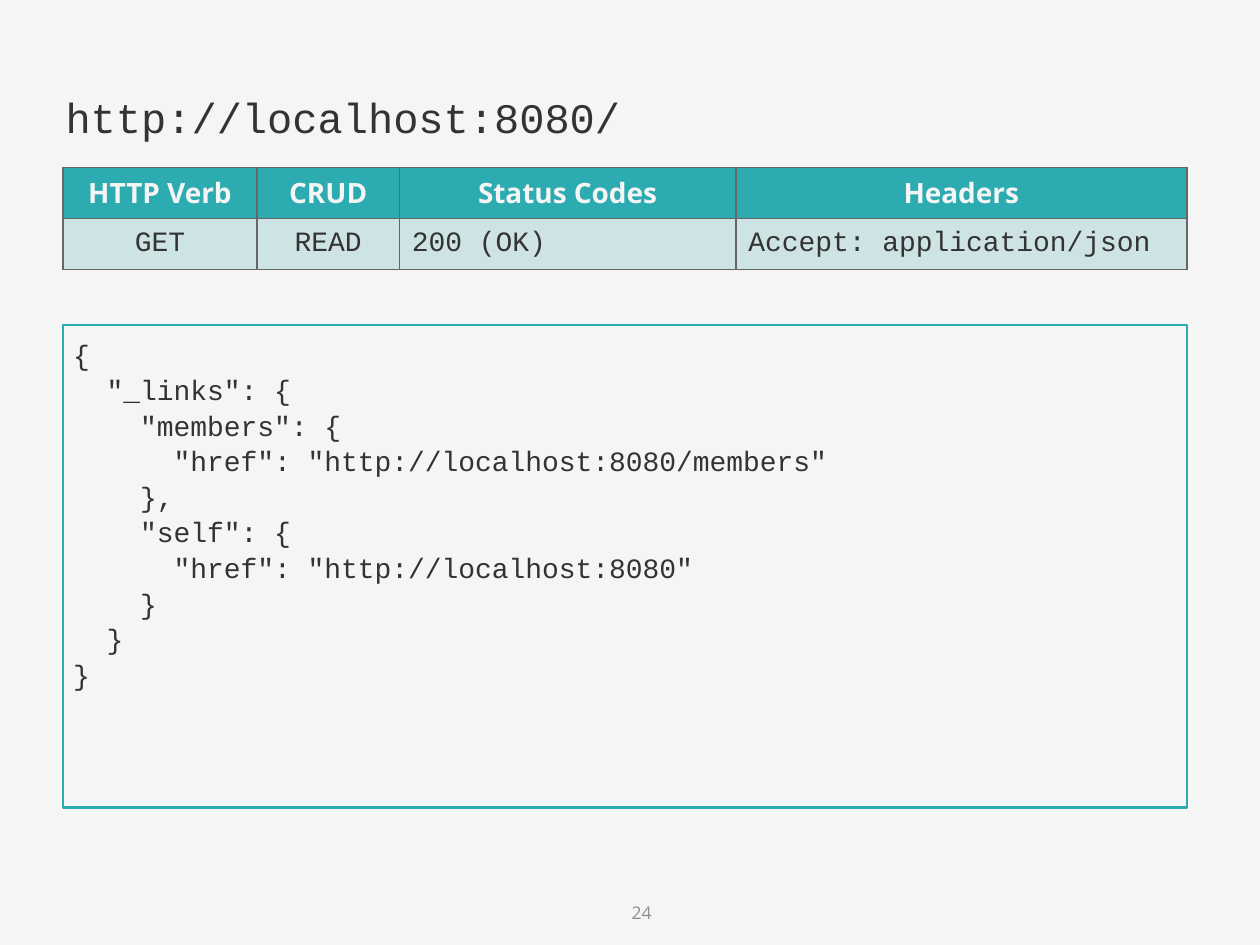
from lxml import etree
from pptx import Presentation
from pptx.dml.color import RGBColor
from pptx.enum.shapes import MSO_SHAPE
from pptx.enum.text import MSO_ANCHOR, PP_ALIGN
from pptx.oxml.ns import qn
from pptx.util import Inches, Pt

LEFT, CENTER, RIGHT = PP_ALIGN.LEFT, PP_ALIGN.CENTER, PP_ALIGN.RIGHT
TOP, MIDDLE = MSO_ANCHOR.TOP, MSO_ANCHOR.MIDDLE

PAPER = RGBColor(0xF5, 0xF5, 0xF5)
TEAL = RGBColor(0x2C, 0xAC, 0xB1)
PALE_TEAL = RGBColor(0xCD, 0xE3, 0xE4)
INK = RGBColor(0x33, 0x33, 0x33)
GRAY = RGBColor(0x90, 0x90, 0x90)
BORDER = RGBColor(0x66, 0x66, 0x66)
CODE_FONT, TEXT_FONT = "Courier New", "Open Sans"

# Content
TITLE = "http://localhost:8080/"
PAGE_NUMBER = "24"
# Heading, value, value alignment, column width
COLUMNS = [
    ("HTTP Verb", "GET", CENTER, 1.54),
    ("CRUD", "READ", CENTER, 1.13),
    ("Status Codes", "200 (OK)", LEFT, 2.67),
    ("Headers", "Accept: application/json", LEFT, 3.58),
]
RESPONSE = """{
  "_links": {
    "members": {
      "href": "http://localhost:8080/members"
    },
    "self": {
      "href": "http://localhost:8080"
    }
  }
}"""

# Layout
MARGIN, CONTENT_WIDTH = 0.5, 8.92
TABLE_TOP, ROW_HEIGHT = 1.33, 0.405


def place(shape, left, top, width, height):
    shape.left, shape.top = Inches(left), Inches(top)
    shape.width, shape.height = Inches(width), Inches(height)


def write(text_frame, text, font_name, size, color, alignment=LEFT, bold=False):
    text_frame.text = text
    for paragraph in text_frame.paragraphs:
        paragraph.alignment = alignment
        font = paragraph.font
        font.name, font.size, font.bold = font_name, Pt(size), bold
        font.color.rgb = color


def add_borders(cell):
    properties = cell._tc.get_or_add_tcPr()
    for index, side in enumerate(("a:lnL", "a:lnR", "a:lnT", "a:lnB")):
        line = etree.Element(qn(side), w=str(Pt(1)))
        fill = etree.SubElement(line, qn("a:solidFill"))
        etree.SubElement(fill, qn("a:srgbClr"), val=str(BORDER))
        properties.insert(index, line)


def fill_cell(cell, text, fill, font_name, color, alignment, bold):
    cell.fill.solid()
    cell.fill.fore_color.rgb = fill
    cell.vertical_anchor = MIDDLE
    write(cell.text_frame, text, font_name, 16, color, alignment, bold)
    add_borders(cell)


def main():
    presentation = Presentation()
    presentation.slide_width, presentation.slide_height = Inches(10), Inches(7.5)
    slide = presentation.slides.add_slide(presentation.slide_layouts[5])
    slide.background.fill.solid()
    slide.background.fill.fore_color.rgb = PAPER

    # Page number
    number = slide.shapes.add_textbox(Inches(4.73), Inches(7.08), Inches(0.54), Inches(0.32))
    number.text_frame.word_wrap = True
    number.text_frame.vertical_anchor = MIDDLE
    write(number.text_frame, PAGE_NUMBER, TEXT_FONT, 10, GRAY, RIGHT)

    # Title
    title = slide.shapes.title
    place(title, 0.42, 0.61, 9.17, 0.42)
    title.text_frame.vertical_anchor = TOP
    title.text_frame.margin_top = Inches(0.12)
    title.text_frame.margin_bottom = 0
    write(title.text_frame, TITLE, CODE_FONT, 24, INK)

    # Response body
    body = slide.shapes.add_shape(
        MSO_SHAPE.RECTANGLE, Inches(MARGIN), Inches(2.58), Inches(CONTENT_WIDTH), Inches(3.83))
    body.shadow.inherit = False
    body.fill.solid()
    body.fill.fore_color.rgb = PAPER
    body.line.color.rgb = TEAL
    body.line.width = Pt(1.5)
    frame = body.text_frame
    frame.word_wrap = True
    frame.vertical_anchor = TOP
    frame.margin_left = frame.margin_top = Inches(0.08)
    frame.margin_right = frame.margin_bottom = Inches(0.04)
    write(frame, RESPONSE, CODE_FONT, 16, INK)
    for paragraph in frame.paragraphs:
        paragraph.line_spacing = 1.06

    # Request table
    table = slide.shapes.add_table(
        2, len(COLUMNS), Inches(MARGIN), Inches(TABLE_TOP),
        Inches(CONTENT_WIDTH), Inches(2 * ROW_HEIGHT)).table
    for index, (heading, value, alignment, width) in enumerate(COLUMNS):
        table.columns[index].width = Inches(width)
        fill_cell(table.cell(0, index), heading, TEAL, TEXT_FONT, PAPER, CENTER, True)
        fill_cell(table.cell(1, index), value, PALE_TEAL, CODE_FONT, INK, alignment, False)

    presentation.save("out.pptx")


if __name__ == "__main__":
    main()
